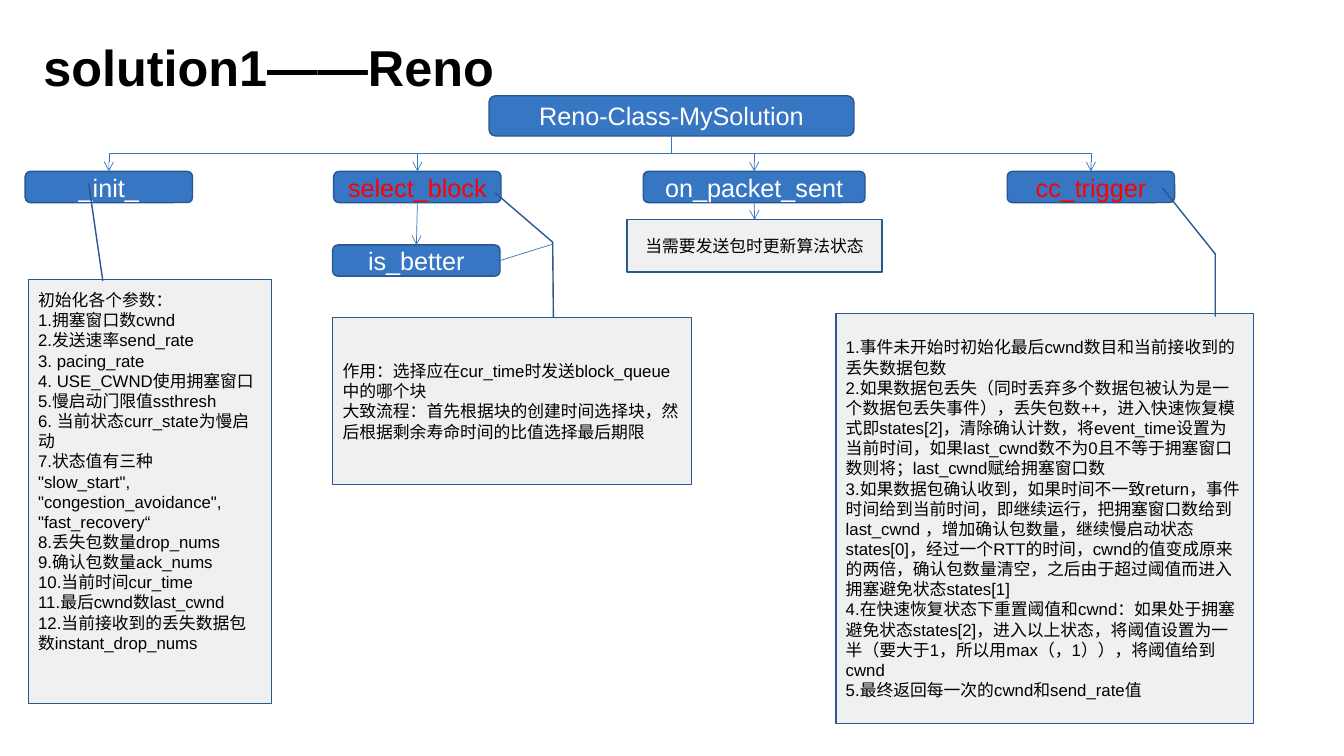
from lxml.etree import SubElement
from pptx import Presentation
from pptx.dml.color import RGBColor
from pptx.enum.shapes import MSO_CONNECTOR, MSO_SHAPE
from pptx.enum.text import MSO_ANCHOR, MSO_AUTO_SIZE, PP_ALIGN
from pptx.oxml.ns import qn
from pptx.util import Emu, Pt

BLUE = RGBColor(0x37, 0x76, 0xC3)
NAVY = RGBColor(0x29, 0x57, 0x90)
GRAY = RGBColor(0xF0, 0xF0, 0xF0)
WHITE = RGBColor(0xFF, 0xFF, 0xFF)
BLACK = RGBColor(0, 0, 0)
RED = RGBColor(0xFF, 0, 0)
LATIN = "Arial"
CJK = "Noto Sans CJK SC"
TOP, BOTTOM, RIGHT = 0, 2, 3


def px(n):
    return Emu(n * 9144)


class Diagram:
    def __init__(self, prs):
        self.slide = prs.slides.add_slide(prs.slide_layouts[5])
        self.shapes = self.slide.shapes

    def run(self, p, text, size, color, font=LATIN, bold=False):
        r = p.add_run()
        r.text = text
        r.font.name = font
        r.font.size = Pt(size)
        r.font.bold = bold
        r.font.color.rgb = color
        return r

    def title(self, text, x, y, w, h):
        sp = self.shapes.title
        sp.left, sp.top, sp.width, sp.height = map(px, (x, y, w, h))
        tf = sp.text_frame
        tf.margin_left = tf.margin_right = tf.margin_top = tf.margin_bottom = 0
        tf.vertical_anchor = MSO_ANCHOR.TOP
        tf.word_wrap = True
        tf.auto_size = MSO_AUTO_SIZE.SHAPE_TO_FIT_TEXT
        p = tf.paragraphs[0]
        p.alignment = PP_ALIGN.LEFT
        self.run(p, text, 36, BLACK, bold=True)

    def shape(self, kind, x, y, w, h, fill):
        sp = self.shapes.add_shape(kind, *map(px, (x, y, w, h)))
        sp.shadow.inherit = False
        sp.fill.solid()
        sp.fill.fore_color.rgb = fill
        sp.line.color.rgb = NAVY
        sp.line.width = Pt(1)
        sp.text_frame.word_wrap = True
        sp.text_frame.vertical_anchor = MSO_ANCHOR.MIDDLE
        return sp

    def node(self, text, x, y, w, h=31, color=WHITE):
        sp = self.shape(MSO_SHAPE.ROUNDED_RECTANGLE, x, y, w, h, BLUE)
        p = sp.text_frame.paragraphs[0]
        p.alignment = PP_ALIGN.CENTER
        self.run(p, text, 18, color)
        return sp

    def note(self, kind, x, y, w, h, paragraphs, adj=(), align=PP_ALIGN.LEFT):
        sp = self.shape(kind, x, y, w, h, GRAY)
        for i, value in enumerate(adj):
            sp.adjustments[i] = value
        tf = sp.text_frame
        for i, runs in enumerate(paragraphs):
            p = tf.add_paragraph() if i else tf.paragraphs[0]
            p.alignment = align
            for text, font in zip(runs, (LATIN, CJK)):
                r = self.run(p, text, 12, BLACK, font)
                SubElement(r.font._element, qn("a:ea")).set("typeface", CJK)
        return sp

    def line(self, kind, start, site, arrow=True):
        cx = self.shapes.add_connector(kind, 0, 0, 0, 0)
        cx.begin_connect(start, site)
        cx.line.color.rgb = BLUE
        cx.line.width = Pt(0.5)
        if arrow:
            SubElement(cx.line._get_or_add_ln(), qn("a:tailEnd")).set("type", "arrow")
        SubElement(cx._element.spPr, qn("a:effectLst"))
        return cx

    def arrow(self, start, end):
        cx = self.line(MSO_CONNECTOR.STRAIGHT, start, BOTTOM)
        cx.end_connect(end, TOP)

    def lead(self, start, x, y):
        cx = self.line(MSO_CONNECTOR.STRAIGHT, start, RIGHT, arrow=False)
        cx.end_x, cx.end_y = px(x), px(y)

    def branch(self, start, end):
        cx = self.line(MSO_CONNECTOR.ELBOW, start, BOTTOM)
        cx.end_connect(end, TOP)
        x1, y1 = start.left + start.width // 2, start.top + start.height
        x2, y2 = end.left + end.width // 2, end.top
        drop, span = y2 - y1, abs(x2 - x1)
        cx.left, cx.top = Emu((x1 + x2 - drop) // 2), Emu((y1 + y2 - span) // 2)
        cx.width, cx.height = Emu(drop), Emu(span)
        xfrm = cx._element.spPr.xfrm
        xfrm.flipH = x2 > x1
        xfrm.flipV = False
        xfrm.rot = 270 if x2 > x1 else 90


INIT_TEXT = [
    ["初始化各个参数："],
    ["1.拥塞窗口数cwnd"],
    ["2.发送速率send_rate"],
    ["3. pacing_rate"],
    ["4. USE_CWND使用拥塞窗口"],
    ["5.慢启动门限值ssthresh"],
    ["6. 当前状态curr_state为慢启动"],
    ["7.状态值有三种"],
    ['"slow_start", "congestion_avoidance", "fast_recovery“'],
    ["8.丢失包数量drop_nums"],
    ["9.确认包数量ack_nums"],
    ["10.当前时间cur_time"],
    ["11.最后cwnd数last_cwnd"],
    ["12.当前接收到的丢失数据包数instant_drop_nums"],
]
SELECT_TEXT = [
    ["作用：选择应在cur_time时发送block_queue中的哪个块"],
    ["大致流程：", "首先根据块的创建时间选择块，然后根据剩余寿命时间的比值选择最后期限"],
]
TRIGGER_TEXT = [
    ["1.事件未开始时初始化最后cwnd数目和当前接收到的丢失数据包数"],
    ["2.如果数据包丢失（同时丢弃多个数据包被认为是一个数据包丢失事件），"
     "丢失包数++，进入快速恢复模式即states[2]，清除确认计数，"
     "将event_time设置为当前时间，如果last_cwnd数不为0且不等于拥塞窗口数则将；"
     "last_cwnd赋给拥塞窗口数"],
    ["3.如果数据包确认收到，如果时间不一致return，事件时间给到当前时间，"
     "即继续运行，把拥塞窗口数给到last_cwnd ，增加确认包数量，"
     "继续慢启动状态states[0]，经过一个RTT的时间，cwnd的值变成原来的两倍，"
     "确认包数量清空，之后由于超过阈值而进入拥塞避免状态states[1]"],
    ["4.在快速恢复状态下重置阈值和cwnd：如果处于拥塞避免状态states[2]，"
     "进入以上状态，将阈值设置为一半（要大于1，所以用max（，1）），将阈值给到cwnd"],
    ["5.最终返回每一次的cwnd和send_rate值"],
]


def main():
    prs = Presentation()
    prs.slide_width, prs.slide_height = px(1333), px(750)
    d = Diagram(prs)
    d.title("solution1——Reno", 43, 36, 1213, 61)

    root = d.node("Reno-Class-MySolution", 485, 95, 362, 40)
    init = d.node("_init_", 25, 170, 166)
    select = d.node("select_block", 331, 170, 166, color=RED)
    sent = d.node("on_packet_sent", 638, 170, 220)
    trigger = d.node("cc_trigger", 999, 170, 166, color=RED)
    better = d.node("is_better", 330, 243, 166)
    for method in (init, select, sent, trigger):
        d.branch(root, method)
    d.arrow(select, better)

    init_note = d.note(MSO_SHAPE.LINE_CALLOUT_1, 28, 277, 241, 421, INIT_TEXT,
                       (0.004, 0.307, -0.225, 0.249))
    init_note.text_frame.margin_bottom = px(45)
    d.note(MSO_SHAPE.LINE_CALLOUT_2, 330, 315, 356, 166, SELECT_TEXT,
           (0.002, 0.615, -0.45, 0.613, -0.745, 0.453))
    d.note(MSO_SHAPE.LINE_CALLOUT_2, 829, 311, 414, 407, TRIGGER_TEXT,
           (0.008, 0.909, -0.145, 0.909, -0.305, 0.783))
    sent_note = d.note(MSO_SHAPE.RECTANGLE, 622, 218, 253, 52,
                       [["当需要发送包时更新算法状态"]], align=PP_ALIGN.CENTER)
    d.arrow(sent, sent_note)
    d.lead(better, 549, 242)
    prs.save("out.pptx")


if __name__ == "__main__":
    main()
